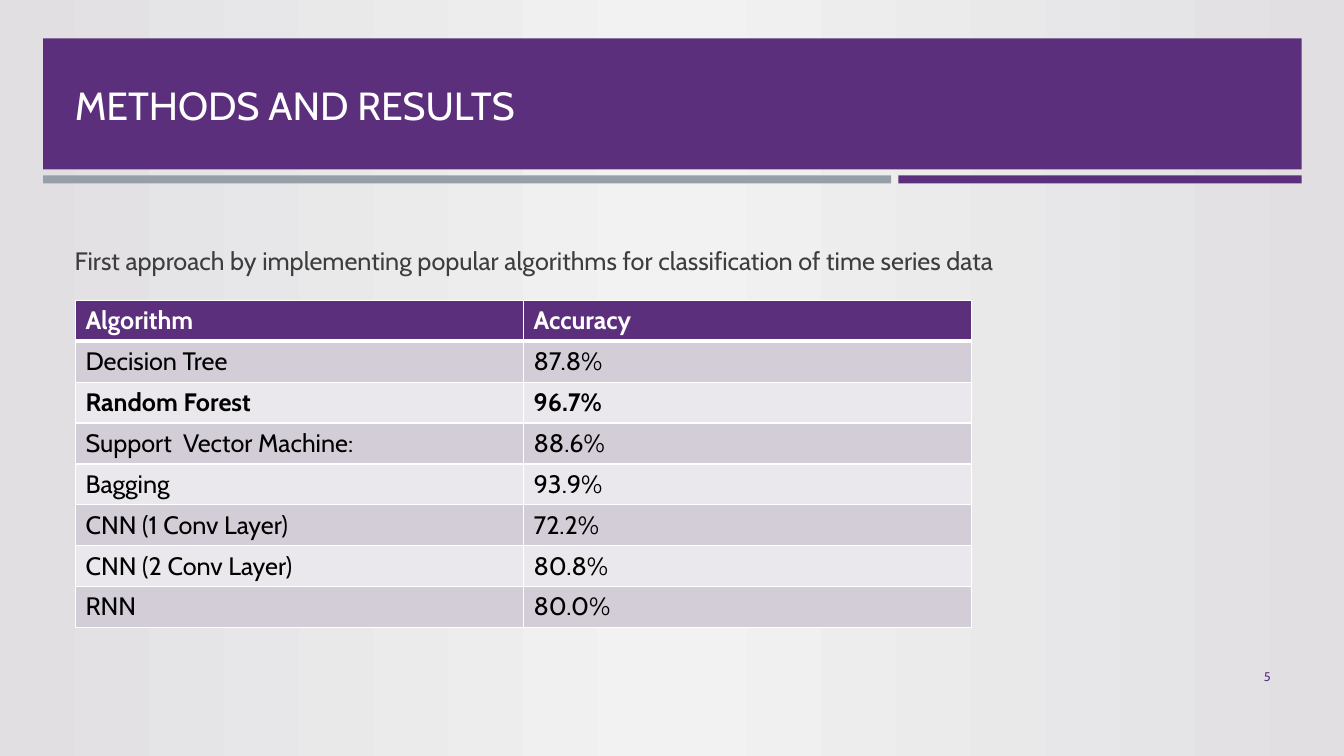
from copy import deepcopy

from lxml import etree
from pptx import Presentation
from pptx import util as u
from pptx.dml.color import RGBColor
from pptx.enum import shapes, text
from pptx.oxml import ns

FONT = "Cabin"
PURPLE, GREY, WHITE, BLACK = "5C2F7D", "969FA7", "FFFFFF", "000000"
BODY_COLOR = "3D3D3D"
ROW_FILLS = ["EAE8EC", "D2CDD7"]
BACKGROUND = [(0, "E1DFE2"), (0.5, "F2F2F2"), (1, "E1DFE2")]

HEADING = "METHODS AND RESULTS"
INTRO = "First approach by implementing popular algorithms for classification of time series data"
PAGE = "5"
RESULTS = [
    ("Algorithm", "Accuracy"),
    ("Decision Tree", "87.8%"),
    ("Random Forest", "96.7%"),
    ("Support  Vector Machine:", "88.6%"),
    ("Bagging", "93.9%"),
    ("CNN (1 Conv Layer)", "72.2%"),
    ("CNN (2 Conv Layer)", "80.8%"),
    ("RNN", "80.0%"),
]
BEST = "Random Forest"

BANDS = [
    (1.09, 0.97, 31.7, 3.3, PURPLE),
    (22.63, 4.42, 10.16, 0.2, PURPLE),
    (1.09, 4.42, 21.36, 0.2, GREY),
]
HEADING_BOX = (1.63, 1.22, 28.12, 2.82)
INTRO_BOX = (1.63, 6.05, 30.63, 1.2)
PAGE_BOX = (29.34, 16.54, 2.92, 1.02)
TABLE_LEFT, TABLE_TOP = 1.9, 7.57
COLUMN_WIDTH, ROW_HEIGHT = 11.29, 1.03


def color(value):
    return RGBColor.from_string(value)


def lengths(box):
    return [u.Cm(value) for value in box]


def write(frame, words, size, ink, bold=False, align=text.PP_ALIGN.LEFT):
    frame.text = words
    paragraph = frame.paragraphs[0]
    paragraph.alignment = align
    font = paragraph.font
    font.name, font.size, font.bold = FONT, u.Pt(size), bold
    font.color.rgb = color(ink)


def add_text(slide, box, words, size, ink, anchor, align=text.PP_ALIGN.LEFT):
    frame = slide.shapes.add_textbox(*lengths(box)).text_frame
    frame.word_wrap = True
    frame.vertical_anchor = anchor
    write(frame, words, size, ink, align=align)


def paint_background(slide):
    fill = slide.background.fill
    fill.gradient()
    fill.gradient_angle = 0
    stop_list = slide.element.find(".//" + ns.qn("a:gsLst"))
    stop_list.append(deepcopy(stop_list[0]))
    for stop, (position, shade) in zip(fill.gradient_stops, BACKGROUND):
        stop.position = position
        stop.color.rgb = color(shade)


def add_borders(cell, bottom):
    properties = cell._tc.get_or_add_tcPr()
    for side, width in (("L", 1), ("R", 1), ("T", 1), ("B", bottom)):
        line = etree.SubElement(properties, ns.qn("a:ln" + side), w=str(u.Pt(width)))
        solid = etree.SubElement(line, ns.qn("a:solidFill"))
        etree.SubElement(solid, ns.qn("a:srgbClr"), val=WHITE)


def add_results(slide):
    rows, columns = len(RESULTS), len(RESULTS[0])
    box = (TABLE_LEFT, TABLE_TOP, COLUMN_WIDTH * columns, ROW_HEIGHT * rows)
    table = slide.shapes.add_table(rows, columns, *lengths(box)).table
    for row, record in enumerate(RESULTS):
        header = row == 0
        for column, words in enumerate(record):
            cell = table.cell(row, column)
            add_borders(cell, 3 if header else 1)
            cell.fill.solid()
            cell.fill.fore_color.rgb = color(PURPLE if header else ROW_FILLS[row % 2])
            write(cell.text_frame, words, 18, WHITE if header else BLACK,
                  bold=header or record[0] == BEST)


def main():
    deck = Presentation()
    deck.slide_width, deck.slide_height = u.Inches(13.33), u.Inches(7.5)
    slide = deck.slides.add_slide(deck.slide_layouts[5])
    paint_background(slide)

    for *box, shade in BANDS:
        band = slide.shapes.add_shape(shapes.MSO_SHAPE.RECTANGLE, *lengths(box))
        band.shadow.inherit = False
        band.fill.solid()
        band.fill.fore_color.rgb = color(shade)
        band.line.fill.background()

    heading = slide.shapes.title
    heading.left, heading.top, heading.width, heading.height = lengths(HEADING_BOX)
    heading.text_frame.vertical_anchor = text.MSO_ANCHOR.MIDDLE
    write(heading.text_frame, HEADING, 28, WHITE)
    slide.shapes._spTree.append(heading._element)

    add_text(slide, INTRO_BOX, INTRO, 18, BODY_COLOR, text.MSO_ANCHOR.TOP)
    add_results(slide)
    add_text(slide, PAGE_BOX, PAGE, 9, PURPLE, text.MSO_ANCHOR.MIDDLE, text.PP_ALIGN.RIGHT)
    deck.save("out.pptx")


if __name__ == "__main__":
    main()
